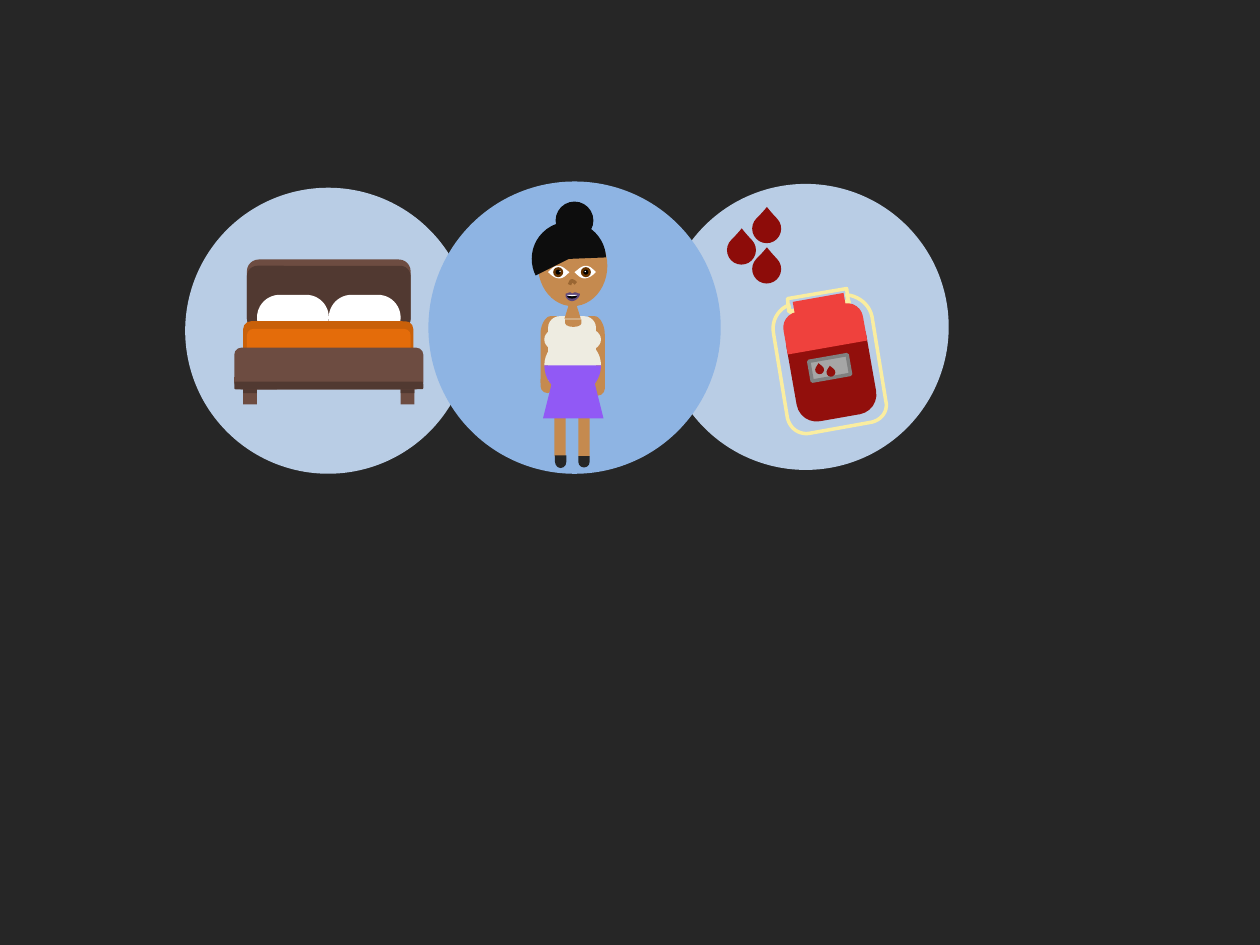
from dataclasses import dataclass

from pptx import Presentation
from pptx.dml.color import RGBColor
from pptx.enum.shapes import MSO_SHAPE
from pptx.util import Inches, Pt

ELLIPSE = MSO_SHAPE.OVAL
RECT = MSO_SHAPE.RECTANGLE
ROUNDED = MSO_SHAPE.ROUNDED_RECTANGLE
ROUND_TOP = MSO_SHAPE.ROUND_2_SAME_RECTANGLE
DROP = MSO_SHAPE.TEAR
TRAPEZOID = MSO_SHAPE.TRAPEZOID
DELAY = MSO_SHAPE.FLOWCHART_DELAY
PIE = MSO_SHAPE.PIE


@dataclass(frozen=True)
class Theme:
    background: str = "262626"
    side_circle: str = "B9CDE5"
    centre_circle: str = "8EB4E3"
    jar_outline: str = "FAEDA0"
    blood: str = "920F0C"
    falling_blood: str = "8D0C09"
    jar_top: str = "EF413D"
    label: str = "A6A6A6"
    label_edge: str = "808080"
    wood: str = "6D4C41"
    dark_wood: str = "513931"
    blanket: str = "E46C0A"
    blanket_edge: str = "C96009"
    white: str = "FFFFFF"
    black: str = "000000"
    skin: str = "C58A4F"
    hair: str = "0D0D0D"
    iris: str = "663300"
    nose: str = "9A6632"
    lips: str = "604A7B"
    top: str = "EEECE1"
    skirt: str = "9159F5"
    shoe: str = "262626"
    line_width: int = 2


THEME = Theme()


def paint(shape, fill=None, line=None):
    shape.shadow.inherit = False
    if fill:
        shape.fill.solid()
        shape.fill.fore_color.rgb = RGBColor.from_string(fill)
    else:
        shape.fill.background()
    if line:
        shape.line.color.rgb = RGBColor.from_string(line)
        shape.line.width = Pt(THEME.line_width)
    else:
        shape.line.fill.background()


def add_part(group, kind, x, y, width, height, fill, line=None, rotation=0, adjust=()):
    part = group.shapes.add_shape(kind, Inches(x), Inches(y), Inches(width), Inches(height))
    part.rotation = rotation
    for index, value in enumerate(adjust):
        part.adjustments[index] = value
    paint(part, fill, line)


def curve_points(start, first, second, end, steps=10):
    """Sample a cubic Bezier curve, leaving out its start."""
    for step in range(1, steps + 1):
        t = step / steps
        weights = ((1 - t) ** 3, 3 * t * (1 - t) ** 2, 3 * t * t * (1 - t), t ** 3)
        yield tuple(sum(w * p[axis] for w, p in zip(weights, (start, first, second, end)))
                    for axis in (0, 1))


def add_outline(group, start, segments, fill=None, line=None, closed=True):
    """Draw segments of two numbers (a line end) or six (a curve)."""
    points = [start]
    for segment in segments:
        pairs = list(zip(segment[::2], segment[1::2]))
        points += pairs if len(pairs) == 1 else list(curve_points(points[-1], *pairs))
    corners = [(Inches(x), Inches(y)) for x, y in points]
    builder = group.shapes.build_freeform(*corners[0])
    builder.add_line_segments(corners[1:], close=closed)
    paint(builder.convert_to_shape(), fill, line)


def mirrored(start, segments, edges):
    """Reflect an outline left to right; edges is the sum of its outer x values."""
    flipped = [tuple(edges - v if i % 2 == 0 else v for i, v in enumerate(segment))
               for segment in segments]
    return (edges - start[0], start[1]), flipped


def draw_blood_jar(group):
    tilt = 350
    add_part(group, ELLIPSE, 5.26, 1.46, 2.27, 2.27, THEME.side_circle)
    add_outline(group, (6.72, 2.34), [
        (6.82, 2.35, 6.9, 2.42, 6.92, 2.51), (7.03, 3.18),
        (7.05, 3.26, 7, 3.33, 6.92, 3.35), (6.42, 3.44),
        (6.34, 3.45, 6.27, 3.4, 6.25, 3.32), (6.14, 2.65),
        (6.12, 2.55, 6.17, 2.46, 6.26, 2.42), (6.27, 2.48), (6.74, 2.4),
    ], line=THEME.jar_outline)
    add_outline(group, (6.25, 2.37), [(6.72, 2.29), (6.73, 2.39), (6.26, 2.47)],
                line=THEME.jar_outline)
    add_part(group, ROUND_TOP, 6.29, 2.68, 0.64, 0.64, THEME.blood,
             rotation=tilt - 180, adjust=(0.25, 0))
    add_part(group, ROUND_TOP, 6.22, 2.44, 0.64, 0.32, THEME.jar_top,
             rotation=tilt, adjust=(0.39, 0))
    add_part(group, RECT, 6.3, 2.36, 0.41, 0.13, THEME.jar_top, rotation=tilt)
    add_part(group, RECT, 6.43, 2.84, 0.31, 0.16, THEME.label, THEME.label_edge, tilt)
    for x, y in ((6.47, 2.9), (6.56, 2.92)):
        add_part(group, DROP, x, y, 0.07, 0.07, THEME.blood, rotation=305.7, adjust=(1.06,))
    for x, y in ((5.97, 2.02), (5.77, 1.87), (5.97, 1.7)):
        add_part(group, DROP, x, y, 0.23, 0.23, THEME.falling_blood,
                 rotation=315.7, adjust=(1.06,))


def draw_bed(group):
    leg_lefts = (1.93, 3.18)
    add_part(group, ELLIPSE, 1.47, 1.49, 2.27, 2.27, THEME.side_circle)
    add_part(group, ROUNDED, 1.96, 2.06, 1.3, 0.56, THEME.wood)
    add_part(group, ROUNDED, 1.96, 2.11, 1.3, 0.5, THEME.dark_wood)
    for pillow_left in (2.61, 2.04):
        add_part(group, ROUNDED, pillow_left, 2.34, 0.57, 0.36, THEME.white, adjust=(0.5,))
    add_part(group, ROUNDED, 1.93, 2.55, 1.35, 0.37, THEME.blanket_edge)
    add_part(group, ROUNDED, 1.96, 2.61, 1.3, 0.31, THEME.blanket)
    for x in leg_lefts:
        add_part(group, RECT, x, 3.05, 0.11, 0.16, THEME.wood)
    add_part(group, ROUNDED, 1.86, 2.76, 1.5, 0.33, THEME.wood)
    for x in leg_lefts:
        add_part(group, RECT, x, 3.09, 0.11, 0.03, THEME.dark_wood)
    add_part(group, RECT, 1.93, 3.05, 1.36, 0.04, THEME.dark_wood)
    add_part(group, ROUNDED, 1.86, 3.03, 1.5, 0.06, THEME.dark_wood)


def draw_body(group):
    for x, y in ((4.69, 3.03), (4.29, 3.01)):
        add_part(group, DELAY, x, y, 0.11, 0.11, THEME.skin, rotation=90)
    for x in (4.59, 4.4):
        add_part(group, RECT, x, 3.11, 0.09, 0.51, THEME.skin)
    arm = ((4.72, 2.51), [(4.67, 2.51), (4.67, 3.04), (4.8, 3.04), (4.8, 2.65),
                          (4.8, 2.58, 4.76, 2.51, 4.72, 2.51)])
    for start, segments in (arm, mirrored(*arm, 9.09)):
        add_outline(group, start, segments, THEME.skin)
    add_part(group, TRAPEZOID, 4.31, 2.84, 0.48, 0.48, THEME.skirt)
    add_part(group, ROUND_TOP, 4.35, 2.51, 0.38, 0.51, THEME.top, adjust=(0.24, 0))
    add_part(group, TRAPEZOID, 4.48, 2.36, 0.13, 0.17, THEME.skin, adjust=(0.41,))


def draw_head(group):
    add_part(group, ELLIPSE, 4.27, 1.79, 0.55, 0.64, THEME.skin)
    add_part(group, PIE, 4.22, 1.76, 0.59, 0.59, THEME.hair,
             rotation=90, adjust=(38.05, 160.65))
    add_part(group, ELLIPSE, 4.41, 1.6, 0.3, 0.3, THEME.hair)
    eye = ((4.35, 2.16), [(4.38, 2.13, 4.4, 2.11, 4.43, 2.11),
                          (4.47, 2.11, 4.5, 2.15, 4.52, 2.16),
                          (4.49, 2.19, 4.47, 2.21, 4.44, 2.21),
                          (4.4, 2.21, 4.37, 2.18, 4.35, 2.16)])
    for (start, segments), iris_left, glint_left in (
            (eye, 4.39, 4.44), (mirrored(*eye, 9.08), 4.61, 4.64)):
        add_outline(group, start, segments, THEME.white)
        add_part(group, ELLIPSE, iris_left, 2.12, 0.08, 0.08, THEME.iris)
        add_part(group, ELLIPSE, iris_left + 0.02, 2.14, 0.04, 0.04, THEME.black)
        add_part(group, ELLIPSE, glint_left, 2.15, 0.01, 0.01, THEME.white)
    add_outline(group, (4.52, 2.26), [(4.53, 2.24, 4.53, 2.23, 4.54, 2.23),
                                      (4.55, 2.23, 4.56, 2.24, 4.57, 2.25)],
                line=THEME.nose, closed=False)
    add_outline(group, (4.49, 2.33), [(4.51, 2.33, 4.51, 2.32, 4.53, 2.32),
                                      (4.54, 2.33), (4.56, 2.32),
                                      (4.58, 2.32, 4.58, 2.33, 4.6, 2.33),
                                      (4.61, 2.34, 4.58, 2.39, 4.54, 2.39),
                                      (4.51, 2.39, 4.48, 2.36, 4.49, 2.33)], THEME.lips)
    for height, colour in ((0.04, THEME.black), (0.02, THEME.white)):
        add_part(group, PIE, 4.5, 2.33, 0.08, height, colour, adjust=(0, 108))


def draw_clothing(group):
    add_part(group, DELAY, 4.52, 2.5, 0.06, 0.13, THEME.skin, rotation=90)
    add_part(group, ELLIPSE, 4.57, 2.61, 0.2, 0.17, THEME.top)
    waist = 2.9
    for edge, bend, colour in ((2.68, 2.78, THEME.top), (3.13, 3.03, THEME.skirt)):
        add_outline(group, (4.55, edge), [(4.67, edge, 4.77, bend, 4.77, waist), (4.32, waist),
                                          (4.32, bend, 4.42, edge, 4.55, edge)], colour)
    add_part(group, ELLIPSE, 4.32, 2.61, 0.2, 0.17, THEME.top)
    for x, width in ((4.4, 0.1), (4.59, 0.09)):
        add_part(group, DELAY, x, 3.62, width, 0.09, THEME.shoe, rotation=90)


def draw_woman(group):
    add_part(group, ELLIPSE, 3.4, 1.44, 2.32, 2.32, THEME.centre_circle)
    for draw in (draw_body, draw_head, draw_clothing):
        draw(group)


def main():
    deck = Presentation()
    deck.slide_width, deck.slide_height = Inches(10), Inches(7.5)
    slide = deck.slides.add_slide(deck.slide_layouts[6])
    slide.background.fill.solid()
    slide.background.fill.fore_color.rgb = RGBColor.from_string(THEME.background)
    for draw in (draw_blood_jar, draw_bed, draw_woman):
        draw(slide.shapes.add_group_shape())
    deck.save("out.pptx")


if __name__ == "__main__":
    main()
